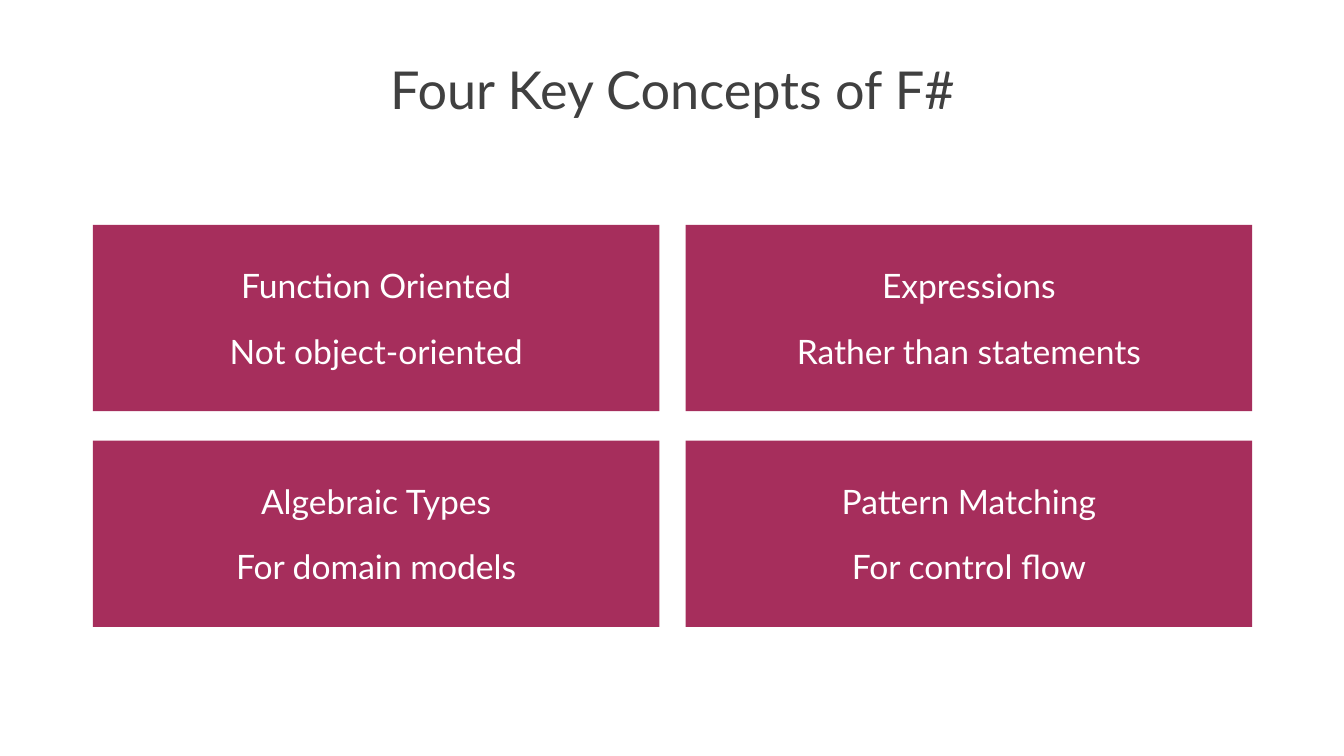
"""Build a slide that presents four key concepts of F#."""
from pptx import Presentation
from pptx.dml.color import RGBColor
from pptx.enum.shapes import MSO_SHAPE
from pptx.enum.text import MSO_ANCHOR, MSO_AUTO_SIZE, PP_ALIGN
from pptx.util import Inches, Pt

FONT = "Lato"
COLORS = {"title": "404040", "card": "A62E5C", "card_text": "FFFFFF"}
LEFT, TOP = 0.92, 2.23
CARD_W, CARD_H = 5.62, 1.85
GAP_X, GAP_Y = 0.26, 0.29
COLUMNS = 2
CONCEPTS = [
    ("Function Oriented", "Not object-oriented"),
    ("Expressions", "Rather than statements"),
    ("Algebraic Types", "For domain models"),
    ("Pattern Matching", "For control flow"),
]


def style_paragraph(p, size, color):
    """Centre a paragraph and set its font."""
    p.alignment = PP_ALIGN.CENTER
    p.font.name = FONT
    p.font.size = Pt(size)
    p.font.color.rgb = RGBColor.from_string(COLORS[color])


def add_title(s, text):
    """Place and format the slide title."""
    title = s.shapes.title
    title.left, title.top = Inches(LEFT), Inches(0.62)
    title.width, title.height = Inches(11.5), Inches(0.59)
    tf = title.text_frame
    tf.text = text
    tf.auto_size = MSO_AUTO_SIZE.NONE
    tf.vertical_anchor = MSO_ANCHOR.MIDDLE
    p = tf.paragraphs[0]
    p.line_spacing = 0.9
    style_paragraph(p, 37.3, "title")


def add_card(s, left, top, lines):
    """Add a filled card with one paragraph per line."""
    sp = s.shapes.add_shape(MSO_SHAPE.RECTANGLE, Inches(left), Inches(top),
                            Inches(CARD_W), Inches(CARD_H))
    sp.shadow.inherit = False
    sp.fill.solid()
    sp.fill.fore_color.rgb = RGBColor.from_string(COLORS["card"])
    sp.line.fill.background()
    tf = sp.text_frame
    tf.word_wrap = True
    tf.vertical_anchor = MSO_ANCHOR.MIDDLE
    tf.margin_left = tf.margin_right = Inches(0.3)
    tf.margin_top = tf.margin_bottom = Inches(0.3)
    tf.text = "\n".join(lines)
    for p in tf.paragraphs:
        p.space_before = Pt(18)
        style_paragraph(p, 24, "card_text")


def main():
    """Build and save the slide."""
    prs = Presentation()
    prs.slide_width, prs.slide_height = Inches(13.33), Inches(7.5)
    s = prs.slides.add_slide(prs.slide_layouts.get_by_name("Title Only"))
    add_title(s, "Four Key Concepts of F#")
    for i, lines in enumerate(CONCEPTS):
        row, col = divmod(i, COLUMNS)
        add_card(s, LEFT + col * (CARD_W + GAP_X),
                 TOP + row * (CARD_H + GAP_Y), lines)
    prs.save("out.pptx")


if __name__ == "__main__":
    main()
